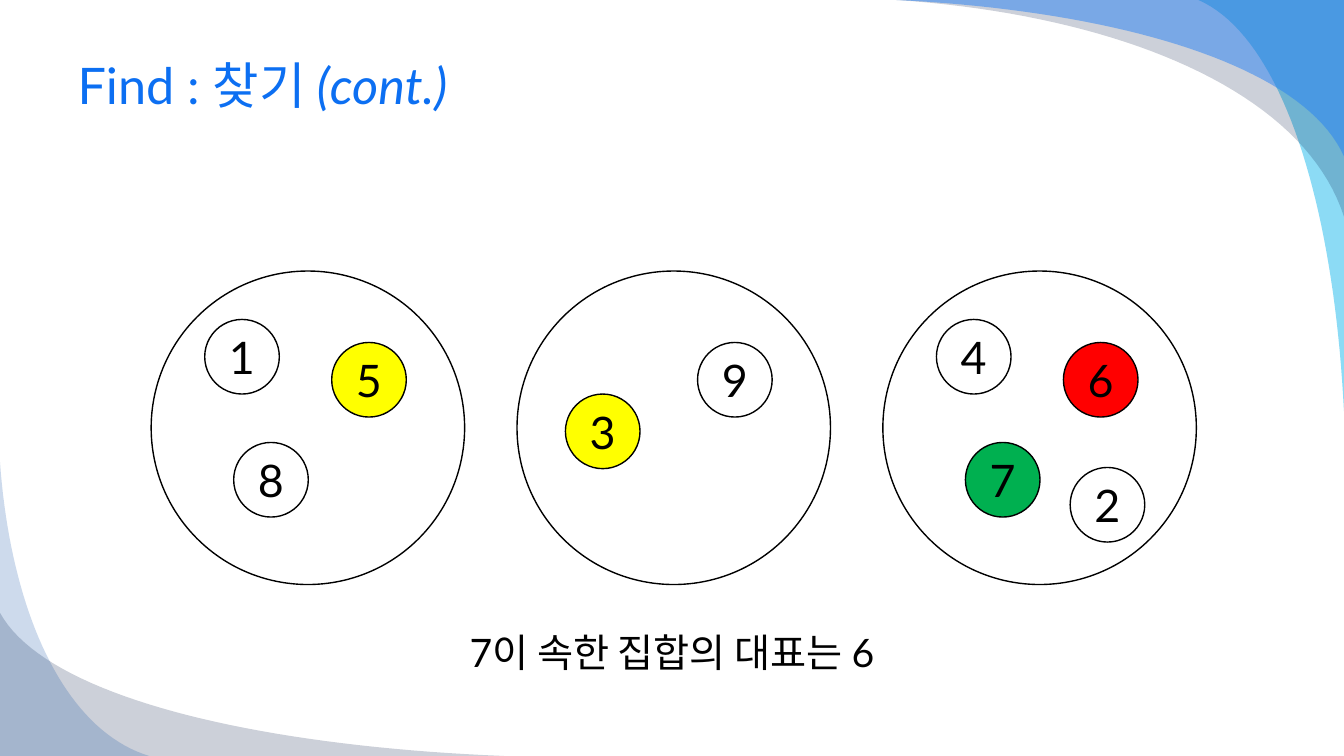
import dataclasses

import pptx
import pptx.dml.color
import pptx.enum.shapes
import pptx.enum.text
import pptx.oxml
import pptx.oxml.ns
import pptx.util

Cm = pptx.util.Cm
ALIGN = pptx.enum.text.PP_ALIGN


@dataclasses.dataclass(frozen=True)
class Theme:
    font: str = "Lato"
    head: int = 36
    node: int = 32
    note: int = 28
    blue: str = "0C6FF2"
    ink: str = "000000"
    white: str = "FFFFFF"
    yellow: str = "FFFF00"
    red: str = "FF0000"
    green: str = "00B050"
    teal: str = "00B1E9"
    navy: str = "021741"
    azure: str = "247FF4"
    royal: str = "084AA1"


THEME = Theme()
WIDE, HIGH = 33.87, 19.05

# Corner waves: tip, corner, end, colour, opacity in percent
WAVES = [
    ((WIDE, 10.36), (WIDE, 0), (30.2, 0), THEME.teal, 45),
    ((22.58, 0), (WIDE, 0), (WIDE, 5.46), THEME.navy, 20),
    ((22.58, 0), (WIDE, 0), (WIDE, 3.94), THEME.azure, 49),
    ((12.7, HIGH), (0, HIGH), (0, 15.44), THEME.navy, 20),
    ((0, 11.63), (0, HIGH), (3.76, HIGH), THEME.royal, 20),
]
# Bezier controls along the tip-corner side and the corner-end side
ALONG = (0, 0.5, 0.91, 1)
ACROSS = (0, 0.07, 0.42, 1)
STEPS = 40

# Sets of nodes: label, place within the set, colour
SPOTS = {
    "top": (1.35, 1.22),
    "right": (4.55, 1.8),
    "low": (2.08, 4.32),
    "left": (1.22, 3.1),
    "edge": (4.72, 4.95),
}
GROUPS = [
    [("1", "top", THEME.white), ("5", "right", THEME.yellow),
     ("8", "low", THEME.white)],
    [("9", "right", THEME.white), ("3", "left", THEME.yellow)],
    [("4", "top", THEME.white), ("6", "right", THEME.red),
     ("7", "low", THEME.green), ("2", "edge", THEME.white)],
]
LEFT, TOP, PITCH = 3.81, 6.83, 9.22
RING, NODE = 7.9, 1.88


def rgb(code):
    return pptx.dml.color.RGBColor.from_string(code)


def write(para, text, size=THEME.node, color=THEME.ink, slant=None, align=None):
    run = para.add_run()
    run.text = text
    run.font.name = THEME.font
    run.font.size = pptx.util.Pt(size)
    run.font.color.rgb = rgb(color)
    run.font.italic = slant
    if align is not None:
        para.alignment = align


def bezier(ends, t):
    a, b, c, d = ends
    s = 1 - t
    return a * s**3 + 3 * b * s * s * t + 3 * c * s * t * t + d * t**3


def add_wave(slide, tip, corner, end, color, alpha):
    points = [corner]
    for step in range(STEPS, -1, -1):
        u, v = (bezier(side, step / STEPS) for side in (ALONG, ACROSS))
        points.append(tuple(
            a + u * (b - a) + v * (c - b) for a, b, c in zip(tip, corner, end)))
    points = [(Cm(x), Cm(y)) for x, y in points]
    form = slide.shapes.build_freeform(*points[0])
    form.add_line_segments(points[1:], close=True)
    wave = form.convert_to_shape()
    wave.shadow.inherit = False
    wave.fill.solid()
    wave.fill.fore_color.rgb = rgb(color)
    tone = next(wave.element.iter(pptx.oxml.ns.qn("a:srgbClr")))
    veil = pptx.oxml.parse_xml(
        f'<a:alpha {pptx.oxml.ns.nsdecls("a")} val="{alpha * 1000}"/>')
    tone.append(veil)
    wave.line.fill.background()


def add_disc(slide, x, y, size, color=THEME.white, label=None):
    disc = slide.shapes.add_shape(
        pptx.enum.shapes.MSO_SHAPE.OVAL, Cm(x), Cm(y), Cm(size), Cm(size))
    disc.shadow.inherit = False
    disc.fill.solid()
    disc.fill.fore_color.rgb = rgb(color)
    disc.line.color.rgb = rgb(THEME.ink)
    disc.line.width = pptx.util.Pt(1)
    if label:
        write(disc.text_frame.paragraphs[0], label, align=ALIGN.CENTER)


def add_group(slide, x, nodes):
    add_disc(slide, x, TOP, RING)
    for label, spot, color in nodes:
        dx, dy = SPOTS[spot]
        add_disc(slide, x + dx, TOP + dy, NODE, color, label)


def add_title(slide):
    title = slide.shapes.title
    title.left, title.top = Cm(1.7), Cm(0.84)
    title.width, title.height = Cm(30.48), Cm(2.56)
    frame = title.text_frame
    frame.auto_size = pptx.enum.text.MSO_AUTO_SIZE.NONE
    frame.vertical_anchor = pptx.enum.text.MSO_ANCHOR.MIDDLE
    para = frame.paragraphs[0]
    write(para, "Find : 찾기 ", size=THEME.head, color=THEME.blue, align=ALIGN.LEFT)
    write(para, "(cont.)", size=THEME.head, color=THEME.blue, slant=True)


def add_note(slide, text):
    box = slide.shapes.add_textbox(Cm(0), Cm(15.7), Cm(WIDE), Cm(1.45))
    frame = box.text_frame
    frame.word_wrap = True
    frame.auto_size = pptx.enum.text.MSO_AUTO_SIZE.SHAPE_TO_FIT_TEXT
    write(frame.paragraphs[0], text, size=THEME.note, align=ALIGN.CENTER)


def main():
    deck = pptx.Presentation()
    deck.slide_width, deck.slide_height = Cm(WIDE), Cm(HIGH)
    slide = deck.slides.add_slide(deck.slide_layouts[5])
    # Backdrop
    for wave in WAVES:
        add_wave(slide, *wave)
    # Heading
    add_title(slide)
    # Disjoint sets
    for index, nodes in enumerate(GROUPS):
        add_group(slide, LEFT + index * PITCH, nodes)
    # Answer
    add_note(slide, "7이 속한 집합의 대표는 6")
    deck.save("out.pptx")


if __name__ == "__main__":
    main()
